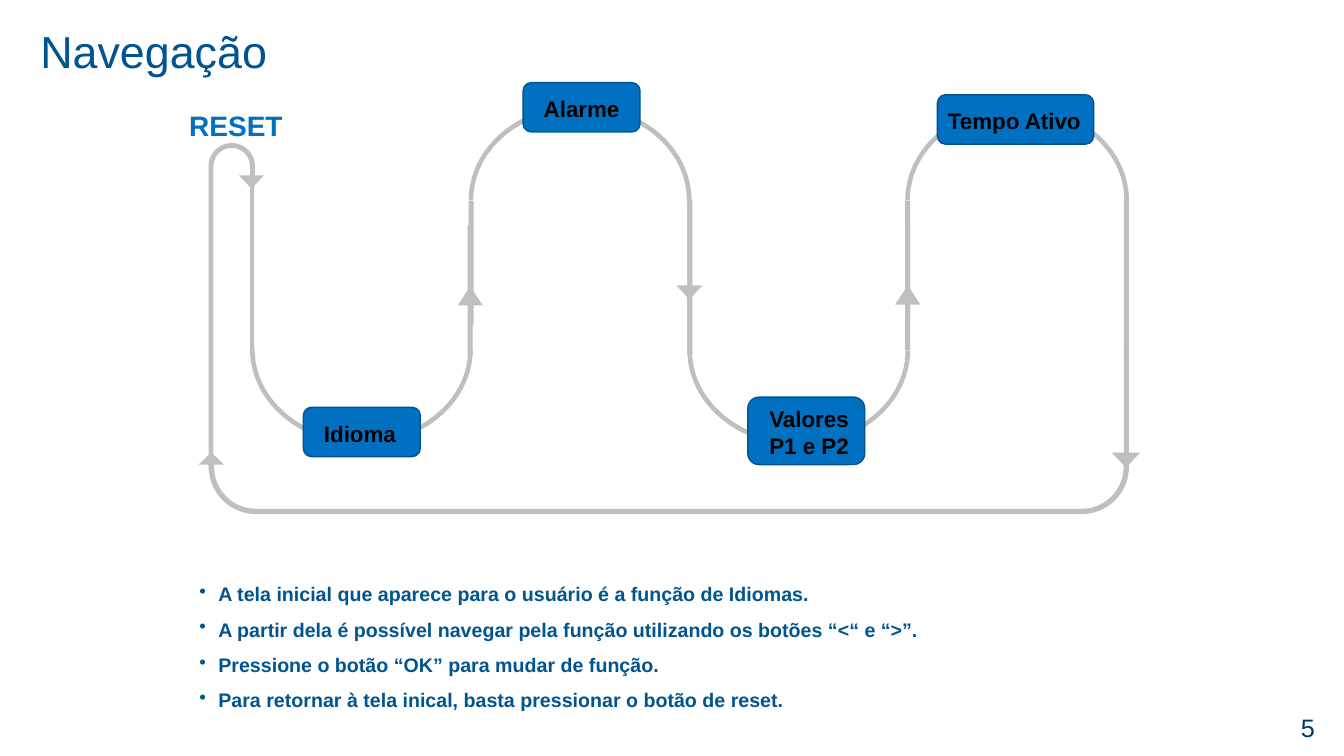
"""Build the navigation flow slide."""
from dataclasses import dataclass

from lxml import etree
from pptx import Presentation
from pptx.dml.color import RGBColor
from pptx.enum.shapes import MSO_SHAPE
from pptx.enum.text import MSO_ANCHOR, PP_ALIGN
from pptx.oxml.ns import qn
from pptx.shapes.autoshape import Shape
from pptx.slide import Slide
from pptx.text.text import TextFrame
from pptx.util import Pt

ARC = MSO_SHAPE.BLOCK_ARC
BAR = MSO_SHAPE.RECTANGLE
HEAD = MSO_SHAPE.ISOSCELES_TRIANGLE
ROUND = MSO_SHAPE.ROUNDED_RECTANGLE
TURN = MSO_SHAPE.U_TURN_ARROW
MIDDLE, TOP = MSO_ANCHOR.MIDDLE, MSO_ANCHOR.TOP
CENTER, LEFT, JUST = PP_ALIGN.CENTER, PP_ALIGN.LEFT, PP_ALIGN.JUSTIFY

FONT = "Arial"
COLORS = {
    "title": "005490",
    "track": "BFBFBF",
    "box": "0070C0",
    "edge": "00538E",
    "label": "000000",
    "page": "003860",
}


@dataclass(frozen=True)
class Box:
    """Place and size in points."""

    left: float
    top: float
    width: float
    height: float


@dataclass(frozen=True)
class Part:
    """One grey piece of the track."""

    kind: MSO_SHAPE
    box: Box
    turn: float = 0
    adjust: tuple[float, ...] = ()


@dataclass(frozen=True)
class Stop:
    """One labelled function on the track."""

    text: str
    box: Box
    inset: float = 13


BEND = (108, 0.356, 0.024)
TRACK = [
    Part(TURN, Box(149, 102.2, 33.1, 233.3), 0, (0.25, 0.052, 0.241, 0.5, 0.151)),
    Part(TURN, Box(141.8, 323.3, 664.6, 43.9), 180, (0.086, 0.209, 0.195, 0.769, 1)),
    Part(ARC, Box(178.6, 181.4, 159.1, 136.1), 180, BEND),
    Part(ARC, Box(334.8, 74.9, 159.1, 136.1), 0, BEND),
    Part(ARC, Box(491, 182.2, 159.1, 136.1), 180, BEND),
    Part(ARC, Box(646.6, 74.9, 159.8, 136.1), 0, BEND),
    Part(BAR, Box(178.6, 114.5, 2.9, 134.6)),
    Part(BAR, Box(334.1, 160.6, 3.6, 92.9)),
    Part(BAR, Box(334.8, 143.3, 3.6, 88.6)),
    Part(BAR, Box(491, 139.7, 2.9, 110.2)),
    Part(BAR, Box(491, 143.3, 3.6, 110.2)),
    Part(BAR, Box(646.6, 161.3, 3.6, 88.6)),
    Part(BAR, Box(646.6, 143.3, 3.6, 88.6)),
    Part(BAR, Box(802.8, 143.3, 3.6, 110.2)),
    Part(BAR, Box(802.8, 248.4, 3.6, 87.1)),
    Part(HEAD, Box(170.6, 125.3, 18, 9.4), 180),
    Part(HEAD, Box(326.9, 204.5, 18, 13.7)),
    Part(HEAD, Box(483.1, 203.8, 18.7, 10.1), 180),
    Part(HEAD, Box(639.4, 203.8, 18, 13.7)),
    Part(HEAD, Box(794.2, 323.3, 20.2, 10.8), 180),
]
STOPS = [
    Stop("Idioma", Box(216.7, 290.9, 83.5, 35.3)),
    Stop("Alarme", Box(373.7, 59, 83.5, 35.3)),
    Stop("Valores P1 e P2", Box(534.2, 283.7, 83.5, 48.2)),
    Stop("Tempo Ativo", Box(669.6, 67.7, 111.6, 35.3), 5.8),
]
NOTES = [
    "A tela inicial que aparece para o usuário é a função de Idiomas.",
    "A partir dela é possível navegar pela função utilizando os botões “<“ e “>”.",
    "Pressione o botão “OK” para mudar de função.",
    "Para retornar à tela inical, basta pressionar o botão de reset.",
]


def rgb(name: str) -> RGBColor:
    """Look up a named colour."""
    return RGBColor.from_string(COLORS[name])


def spots(box: Box) -> tuple[Pt, Pt, Pt, Pt]:
    """Turn a box into lengths."""
    return Pt(box.left), Pt(box.top), Pt(box.width), Pt(box.height)


def write(frame: TextFrame, lines: list[str], size: float, color: str,
          bold: bool = True, align: PP_ALIGN = LEFT,
          anchor: MSO_ANCHOR = MIDDLE) -> None:
    """Fill a frame with one paragraph per line."""
    frame.word_wrap = True
    frame.vertical_anchor = anchor
    frame.text = "\n".join(lines)
    for para in frame.paragraphs:
        para.alignment = align
        para.font.name = FONT
        para.font.size = Pt(size)
        para.font.bold = bold
        para.font.color.rgb = rgb(color)


def draw(slide: Slide, part: Part, color: str) -> Shape:
    """Add a flat shape without outline."""
    shape = slide.shapes.add_shape(part.kind, *spots(part.box))
    shape.shadow.inherit = False
    shape.rotation = part.turn
    for index, value in enumerate(part.adjust):
        shape.adjustments[index] = value
    shape.fill.solid()
    shape.fill.fore_color.rgb = rgb(color)
    shape.line.fill.background()
    return shape


def place(slide: Slide, stop: Stop) -> None:
    """Add a labelled function box."""
    shape = draw(slide, Part(ROUND, stop.box), "box")
    shape.line.color.rgb = rgb("edge")
    shape.line.width = Pt(1)
    frame = shape.text_frame
    write(frame, [stop.text], 16, "label")
    frame.margin_left, frame.margin_right = Pt(stop.inset), 0
    frame.margin_top, frame.margin_bottom = Pt(2), 0


def head(slide: Slide) -> None:
    """Set the slide title."""
    title = slide.shapes.title
    title.left, title.top, title.width, title.height = spots(Box(21.6, 10.1, 911.5, 56.9))
    write(title.text_frame, ["Navegação"], 32, "title", False)
    para = title.text_frame.paragraphs[0]
    para.line_spacing = 0.9
    para.space_before = Pt(10)


def label(slide: Slide, box: Box, text: str, size: float, color: str, bold: bool) -> None:
    """Add a centred label without insets."""
    frame = slide.shapes.add_textbox(*spots(box)).text_frame
    write(frame, [text], size, color, bold, CENTER)
    frame.margin_left = frame.margin_right = 0
    frame.margin_top = frame.margin_bottom = 0


def notes(slide: Slide) -> None:
    """Add the bulleted remarks."""
    frame = slide.shapes.add_textbox(*spots(Box(135.4, 403.9, 758.9, 115))).text_frame
    write(frame, NOTES, 14, "title", align=JUST, anchor=TOP)
    for para in frame.paragraphs:
        para.line_spacing = 1.5
        props = para._p.get_or_add_pPr()
        props.set("marL", str(Pt(13.5)))
        props.set("indent", str(Pt(-13.5)))
        bullet = etree.Element(qn("a:buChar"), char="•")
        props.find(qn("a:defRPr")).addprevious(bullet)


def main() -> None:
    """Build and save the deck."""
    deck = Presentation()
    deck.slide_width, deck.slide_height = Pt(960), Pt(540)
    slide = deck.slides.add_slide(deck.slide_layouts[5])
    head(slide)
    for part in TRACK:
        draw(slide, part, "track")
    for stop in STOPS:
        place(slide, stop)
    label(slide, Box(113.8, 77, 109.4, 24.5), "RESET", 20, "box", True)
    notes(slide)
    label(slide, Box(923.8, 511.2, 20.9, 17.3), "5", 18, "page", False)
    deck.save("out.pptx")


if __name__ == "__main__":
    main()
